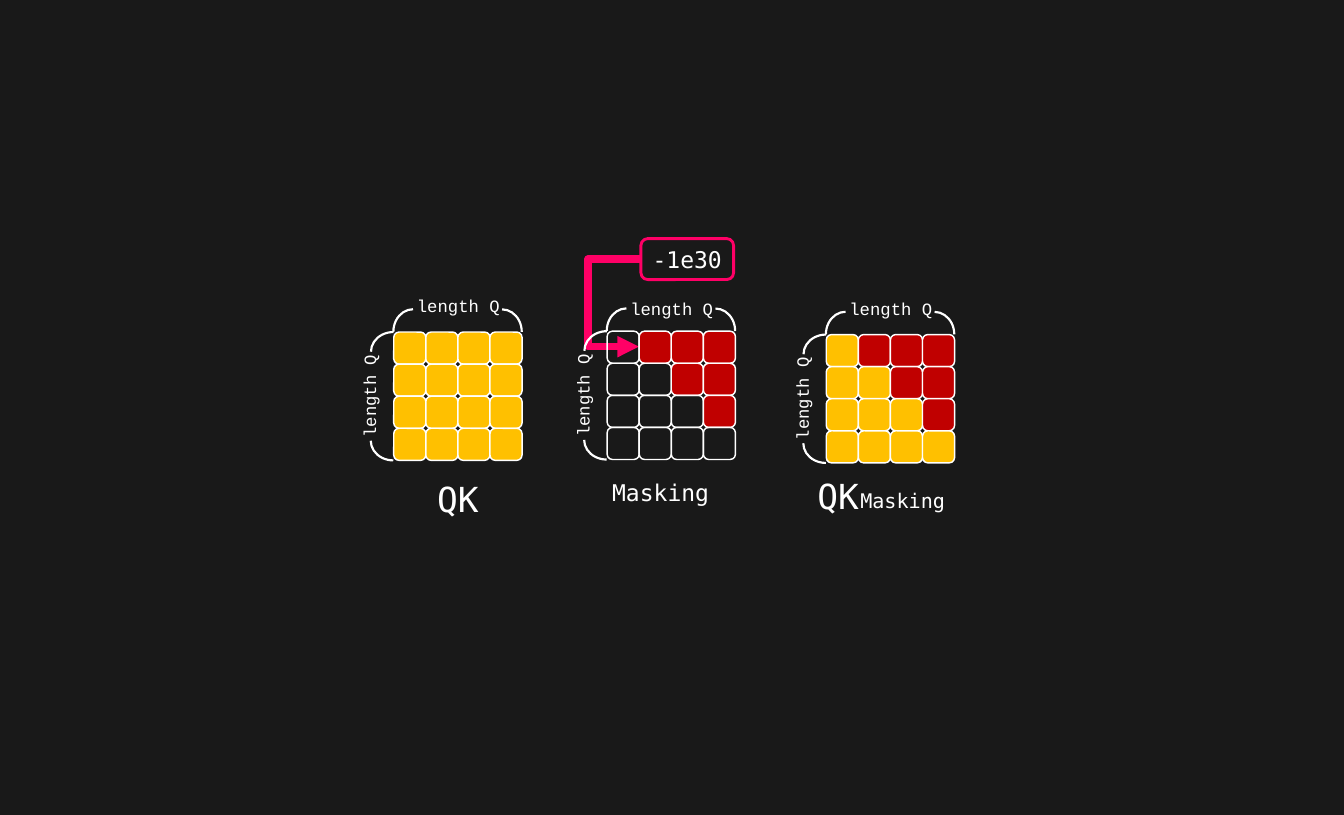
from dataclasses import dataclass

from lxml import etree
from pptx import Presentation
from pptx.dml.color import RGBColor
from pptx.enum.shapes import MSO_CONNECTOR, MSO_SHAPE
from pptx.enum.text import MSO_ANCHOR, PP_ALIGN
from pptx.oxml.ns import qn
from pptx.shapes.autoshape import Shape
from pptx.shapes.shapetree import GroupShapes, SlideShapes
from pptx.util import Pt

ROUNDED = MSO_SHAPE.ROUNDED_RECTANGLE
ARC = MSO_SHAPE.ARC
ELBOW = MSO_CONNECTOR.ELBOW
MIDDLE = MSO_ANCHOR.MIDDLE
CENTER = PP_ALIGN.CENTER

BACKGROUND = RGBColor(0x19, 0x19, 0x19)
WHITE = RGBColor(0xFF, 0xFF, 0xFF)
AMBER = RGBColor(0xFF, 0xC0, 0x00)
RED = RGBColor(0xC0, 0x00, 0x00)
PINK = RGBColor(0xFF, 0x00, 0x66)

LABEL_FONT = "Courier New"
CAPTION_FONT = "DejaVu Sans Mono"

GRID_SIZE = 4
CELL = 44.64
ARC_WIDTH, ARC_HEIGHT = 54.72, 62.64
LABEL_WIDTH, LABEL_HEIGHT = 157, 44.64

Shapes = SlideShapes | GroupShapes


@dataclass(frozen=True)
class Box:
    left: float
    top: float
    width: float
    height: float


@dataclass(frozen=True)
class Matrix:
    left: float
    top: float
    label_rise: float
    lower_fill: RGBColor | None
    upper_fill: RGBColor | None


@dataclass(frozen=True)
class Bracket:
    dx: float
    dy: float
    rotation: int
    flipped: bool


@dataclass(frozen=True)
class Caption:
    text: str
    size: float
    box: Box


QK = Matrix(548, 462, 59, AMBER, AMBER)
MASK = Matrix(845, 460.8, 53.3, None, RED)
MASKED_QK = Matrix(1150, 465.5, 58, AMBER, RED)

BRACKETS = (
    Bracket(-0.5, -31.7, 0, True),
    Bracket(123.5, -31.5, 0, False),
    Bracket(-28, 120, 270, True),
    Bracket(-27.7, -4, 270, False),
)

CAPTIONS = (
    Caption("Masking", 32, Box(814.5, 656, 210, 57)),
    Caption("QK", 48, Box(589, 665.3, 96.5, 57)),
    Caption("QK", 48, Box(1118.2, 661, 96.5, 57)),
    Caption("Masking", 28, Box(1174.3, 676.8, 164, 40.3)),
)

CALLOUT = Caption("-1e30", 32, Box(892, 332, 129, 57))
ARROW_END_X, ARROW_END_Y = 889.2, 482.4
ARROW_BEND_X = 818.6


def add_shape(shapes: Shapes, kind: MSO_SHAPE, box: Box, fill: RGBColor | None = None,
              line: RGBColor | None = None, line_width: float = 0) -> Shape:
    shape = shapes.add_shape(kind, Pt(box.left), Pt(box.top), Pt(box.width), Pt(box.height))
    shape.shadow.inherit = False
    if fill is None:
        shape.fill.background()
    else:
        shape.fill.solid()
        shape.fill.fore_color.rgb = fill
    if line is None:
        shape.line.fill.background()
    else:
        shape.line.color.rgb = line
        shape.line.width = Pt(line_width)
    return shape


def write(shape: Shape, text: str, size: float, font: str) -> None:
    frame = shape.text_frame
    frame.word_wrap = True
    frame.vertical_anchor = MIDDLE
    para = frame.paragraphs[0]
    para.alignment = CENTER
    span = para.add_run()
    span.text = text
    span.font.size = Pt(size)
    span.font.name = font
    span.font.color.rgb = WHITE


def add_length_label(shapes: Shapes, center_x: float, center_y: float, rotation: int) -> None:
    box = Box(center_x - LABEL_WIDTH / 2, center_y - LABEL_HEIGHT / 2, LABEL_WIDTH, LABEL_HEIGHT)
    label = add_shape(shapes, ROUNDED, box)
    label.rotation = rotation
    write(label, "length Q", 24, LABEL_FONT)


def add_bracket(shapes: Shapes, matrix: Matrix, bracket: Bracket) -> None:
    box = Box(matrix.left + bracket.dx, matrix.top + bracket.dy, ARC_WIDTH, ARC_HEIGHT)
    arc = add_shape(shapes, ARC, box, line=WHITE, line_width=3)
    arc.rotation = bracket.rotation
    if bracket.flipped:
        arc.element.spPr.find(qn("a:xfrm")).set("flipH", "1")


def add_matrix(shapes: Shapes, matrix: Matrix) -> None:
    members = shapes.add_group_shape().shapes
    for column in range(GRID_SIZE):
        for row in range(GRID_SIZE):
            fill = matrix.upper_fill if column > row else matrix.lower_fill
            box = Box(matrix.left + column * CELL, matrix.top + row * CELL, CELL, CELL)
            add_shape(members, ROUNDED, box, fill, WHITE, 2)
    half = GRID_SIZE * CELL / 2
    add_length_label(members, matrix.left + half + 0.5,
                     matrix.top - matrix.label_rise + LABEL_HEIGHT / 2, 0)
    add_length_label(members, matrix.left - 34, matrix.top + half, 270)
    for bracket in BRACKETS:
        add_bracket(members, matrix, bracket)


def add_caption(shapes: Shapes, caption: Caption, line: RGBColor | None = None) -> None:
    shape = add_shape(shapes, ROUNDED, caption.box, line=line, line_width=4)
    write(shape, caption.text, caption.size, CAPTION_FONT)


def add_mask_arrow(shapes: Shapes) -> None:
    start_x = CALLOUT.box.left
    start_y = CALLOUT.box.top + CALLOUT.box.height / 2
    arrow = shapes.add_connector(ELBOW, Pt(start_x), Pt(start_y), Pt(ARROW_END_X), Pt(ARROW_END_Y))
    arrow.line.color.rgb = PINK
    arrow.line.width = Pt(10)
    properties = arrow.element.spPr
    guides = properties.find(qn("a:prstGeom")).find(qn("a:avLst"))
    bend = round((start_x - ARROW_BEND_X) / (start_x - ARROW_END_X) * 100000)
    etree.SubElement(guides, qn("a:gd"), name="adj1", fmla=f"val {bend}")
    etree.SubElement(properties.find(qn("a:ln")), qn("a:tailEnd"), type="triangle")
    etree.SubElement(properties, qn("a:effectLst"))


def main() -> None:
    deck = Presentation()
    deck.slide_width = Pt(1870.56)
    deck.slide_height = Pt(1134)
    page = deck.slides.add_slide(deck.slide_layouts[6])
    page.background.fill.solid()
    page.background.fill.fore_color.rgb = BACKGROUND
    add_matrix(page.shapes, QK)
    add_matrix(page.shapes, MASKED_QK)
    add_caption(page.shapes, CALLOUT, PINK)
    add_mask_arrow(page.shapes)
    add_matrix(page.shapes, MASK)
    for caption in CAPTIONS:
        add_caption(page.shapes, caption)
    deck.save("out.pptx")


if __name__ == "__main__":
    main()
